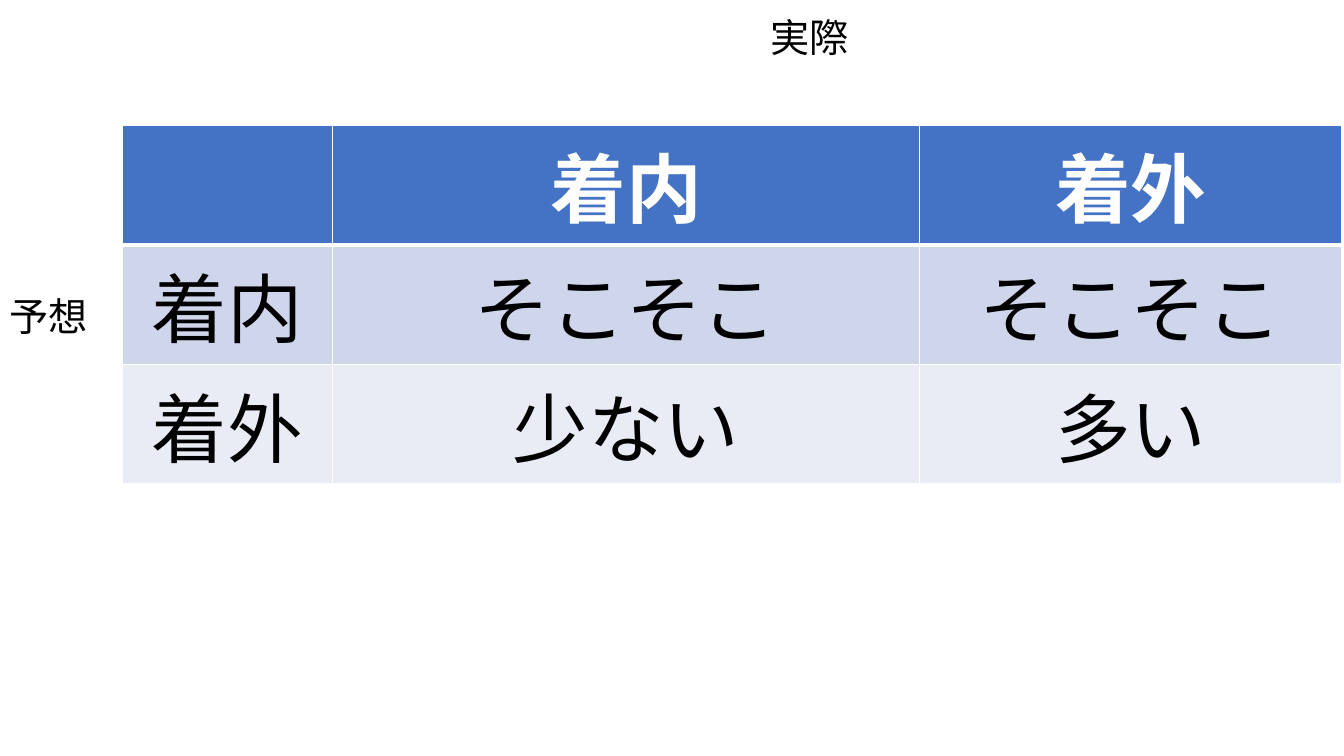
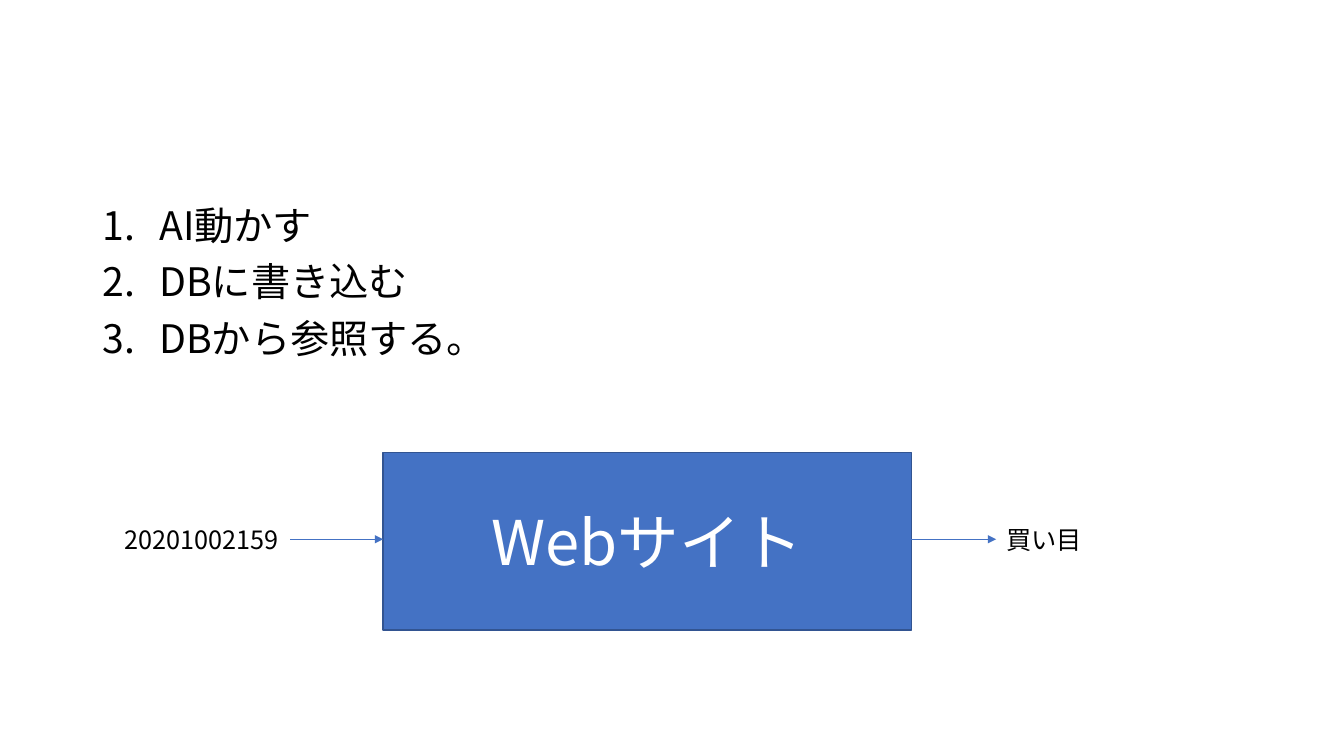
from lxml.etree import SubElement
from pptx import Presentation
from pptx.dml.color import RGBColor
from pptx.enum.shapes import MSO_CONNECTOR, MSO_SHAPE
from pptx.enum.text import MSO_ANCHOR, MSO_AUTO_SIZE, PP_ALIGN
from pptx.oxml.ns import qn
from pptx.util import Inches, Pt

FONT = "Noto Sans CJK JP"
BLACK = RGBColor(0x00, 0x00, 0x00)
WHITE = RGBColor(0xFF, 0xFF, 0xFF)
BLUE = RGBColor(0x44, 0x72, 0xC4)
DARK_BLUE = RGBColor(0x32, 0x54, 0x91)
BANDS = [RGBColor(0xCF, 0xD5, 0xEA), RGBColor(0xE9, 0xEB, 0xF5)]

MATRIX = [
    ["", "着内", "着外"],
    ["着内", "そこそこ", "そこそこ"],
    ["着外", "少ない", "多い"],
]
MATRIX_COLS = [2.09, 5.82, 4.19]
MATRIX_ROW = 1.18
AXIS_LABELS = [("予想", -0.07, 2.85, 1.1), ("実際", 7.26, 0.08, 1.54)]

STEPS = ["AI動かす", "DBに書き込む", "DBから参照する。"]
SITE_LEFT, SITE_TOP, SITE_W, SITE_H = 3.8, 4.49, 5.24, 1.76
FLOW_Y = 5.35
FLOW_LABELS = [("20201002159", 1.14, 1.74), ("買い目", 9.88, 0.96)]
FLOW_ARROWS = [(2.88, SITE_LEFT), (SITE_LEFT + SITE_W, 9.88)]


def write(p, text, size, color=BLACK, bold=False, align=PP_ALIGN.CENTER):
    p.alignment = align
    r = p.add_run()
    r.text = text
    r.font.size = Pt(size)
    r.font.name = FONT
    r.font.bold = bold
    r.font.color.rgb = color
    SubElement(r.font._element, qn("a:ea"), typeface=FONT)


def add_label(s, text, left, top, width, height, size, wrap=True, **style):
    tf = s.shapes.add_textbox(Inches(left), Inches(top),
                              Inches(width), Inches(height)).text_frame
    tf.word_wrap = wrap
    tf.auto_size = MSO_AUTO_SIZE.SHAPE_TO_FIT_TEXT
    write(tf.paragraphs[0], text, size, **style)


def set_borders(cell, **widths):
    """Draw white borders; widths maps L, R, T, B (in that order) to points."""
    tc_pr = cell._tc.get_or_add_tcPr()
    for i, (side, width) in enumerate(widths.items()):
        ln = SubElement(tc_pr, qn(f"a:ln{side}"), w=str(Pt(width)))
        fill = SubElement(ln, qn("a:solidFill"))
        SubElement(fill, qn("a:srgbClr"), val=str(WHITE))
        tc_pr.insert(i, ln)


def add_matrix(s):
    rows = len(MATRIX)
    table = s.shapes.add_table(
        rows, len(MATRIX_COLS), Inches(1.21), Inches(1.24),
        Inches(sum(MATRIX_COLS)), Inches(MATRIX_ROW * rows)).table
    for column, width in zip(table.columns, MATRIX_COLS):
        column.width = Inches(width)
    for i, texts in enumerate(MATRIX):
        header = i == 0
        for j, text in enumerate(texts):
            cell = table.cell(i, j)
            cell.fill.solid()
            cell.fill.fore_color.rgb = BLUE if header else BANDS[(i - 1) % 2]
            set_borders(cell, L=1, R=1, T=3 if i == 1 else 1, B=3 if header else 1)
            if text:
                write(cell.text_frame.paragraphs[0], text, 54,
                      color=WHITE if header else BLACK, bold=header)


def add_steps(s):
    body = s.placeholders[1]
    body.left, body.top = Inches(0.92), Inches(2)
    body.width, body.height = Inches(11.5), Inches(2.09)
    tf = body.text_frame
    tf.auto_size = MSO_AUTO_SIZE.NONE
    tf.vertical_anchor = MSO_ANCHOR.TOP
    for i, step in enumerate(STEPS):
        p = tf.paragraphs[0] if i == 0 else tf.add_paragraph()
        write(p, step, 28, align=PP_ALIGN.LEFT)
        p.line_spacing = 0.9
        p.space_before = Pt(10)
        p_pr = p._p.get_or_add_pPr()
        p_pr.set("marL", str(Inches(0.56)))
        p_pr.set("indent", str(-Inches(0.56)))
        SubElement(p_pr, qn("a:buFont"), typeface=FONT)
        SubElement(p_pr, qn("a:buAutoNum"), type="arabicPeriod")


def add_site(s):
    site = s.shapes.add_shape(MSO_SHAPE.RECTANGLE, Inches(SITE_LEFT), Inches(SITE_TOP),
                              Inches(SITE_W), Inches(SITE_H))
    site.shadow.inherit = False
    site.fill.solid()
    site.fill.fore_color.rgb = BLUE
    site.line.color.rgb = DARK_BLUE
    site.line.width = Pt(1)
    site.text_frame.vertical_anchor = MSO_ANCHOR.MIDDLE
    write(site.text_frame.paragraphs[0], "Webサイト", 44, color=WHITE)


def add_arrow(s, start, end):
    arrow = s.shapes.add_connector(MSO_CONNECTOR.STRAIGHT, Inches(start), Inches(FLOW_Y),
                                   Inches(end), Inches(FLOW_Y))
    arrow.line.color.rgb = BLUE
    arrow.line.width = Pt(0.5)
    SubElement(arrow.line._get_or_add_ln(), qn("a:tailEnd"), type="triangle")
    SubElement(arrow._element.spPr, qn("a:effectLst"))


def main():
    prs = Presentation()
    prs.slide_width, prs.slide_height = Inches(13.33), Inches(7.5)

    s = prs.slides.add_slide(prs.slide_layouts.get_by_name("Blank"))
    add_matrix(s)
    for text, left, top, width in AXIS_LABELS:
        add_label(s, text, left, top, width, 0.57, 28)

    s = prs.slides.add_slide(prs.slide_layouts.get_by_name("Title and Content"))
    title = s.shapes.title._element
    title.getparent().remove(title)
    add_steps(s)
    add_site(s)
    for text, left, width in FLOW_LABELS:
        add_label(s, text, left, FLOW_Y - 0.2, width, 0.4, 18,
                  wrap=False, align=PP_ALIGN.LEFT)
    for start, end in FLOW_ARROWS:
        add_arrow(s, start, end)

    prs.save("out.pptx")


if __name__ == "__main__":
    main()
